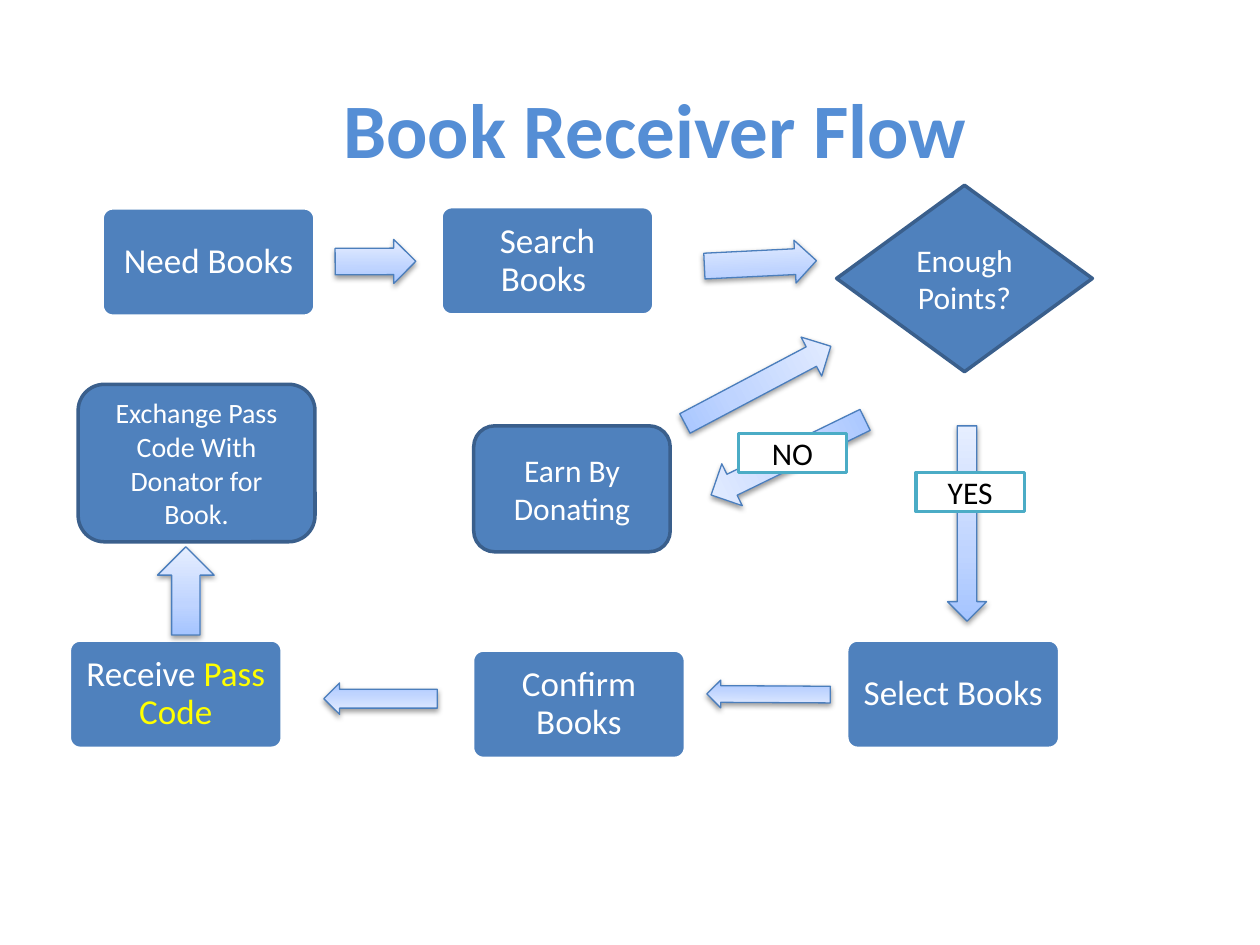
import pptx
import pptx.dml.color
import pptx.enum.shapes
import pptx.enum.text
import pptx.oxml
import pptx.oxml.ns
import pptx.util

Inches = pptx.util.Inches
Pt = pptx.util.Pt
RGBColor = pptx.dml.color.RGBColor
Shape = pptx.enum.shapes.MSO_SHAPE
Align = pptx.enum.text.PP_ALIGN
Anchor = pptx.enum.text.MSO_ANCHOR

BLUE = RGBColor(0x4F, 0x81, 0xBD)
DARK_BLUE = RGBColor(0x3A, 0x5F, 0x8C)
ARROW_LINE = RGBColor(0x4B, 0x7E, 0xBC)
TITLE_BLUE = RGBColor(0x55, 0x8E, 0xD5)
TEAL = RGBColor(0x4B, 0xAC, 0xC6)
YELLOW = RGBColor(0xFF, 0xFF, 0x00)
WHITE = RGBColor(0xFF, 0xFF, 0xFF)
BLACK = RGBColor(0x00, 0x00, 0x00)
ARROW_STOPS = (
    (0, RGBColor(0xA4, 0xC4, 0xFF)),
    (35, RGBColor(0xBF, 0xD4, 0xFF)),
    (100, RGBColor(0xE6, 0xEE, 0xFF)),
)
FONT = "Calibri"
NAMESPACE = pptx.oxml.ns.nsdecls("a")

STEPS = (
    (0.81, 1.65, ("Need Books",)),
    (3.5, 1.64, ("Search Books ",)),
    (6.72, 5.08, ("Select Books",)),
    (3.75, 5.16, ("Confirm Books",)),
    (0.55, 5.08, ("Receive ", "Pass Code")),
)
STEP_ARROWS = (
    (2.66, 1.9, 0.64, 0.35, -0.2),
    (5.59, 1.92, 0.89, 0.34, -2.8),
    (5.61, 5.4, 0.98, 0.22, 180.3),
    (2.57, 5.42, 0.9, 0.25, 180),
)


def format_span(span, size, color, bold=False):
    span.font.name = FONT
    span.font.size = Pt(size)
    span.font.bold = bold
    span.font.color.rgb = color


def add_title(page, text):
    title = page.shapes.title
    title.left, title.top = Inches(0.7), Inches(0.39)
    title.width, title.height = Inches(9), Inches(1.25)
    title.text_frame.text = text
    title.text_frame.vertical_anchor = Anchor.MIDDLE
    para = title.text_frame.paragraphs[0]
    para.alignment = Align.CENTER
    format_span(para.runs[0], 44, TITLE_BLUE, True)


def add_outlined(page, kind, place, line_color, line_width):
    shape = page.shapes.add_shape(kind, *map(Inches, place))
    shape.shadow.inherit = False
    shape.line.color.rgb = line_color
    shape.line.width = Pt(line_width)
    return shape


def add_box(page, kind, place, texts, line_color=DARK_BLUE, fill=BLUE,
            colors=(WHITE,), size=18, margin=0.05):
    box = add_outlined(page, kind, place, line_color, 2)
    box.fill.solid()
    box.fill.fore_color.rgb = fill
    frame = box.text_frame
    frame.word_wrap = True
    frame.vertical_anchor = Anchor.MIDDLE
    frame.margin_top = frame.margin_bottom = Inches(margin)
    para = frame.paragraphs[0]
    para.alignment = Align.CENTER
    for text, color in zip(texts, colors):
        span = para.add_run()
        span.text = text
        format_span(span, size, color)
    return box


def add_step(page, left, top, texts):
    box = add_box(page, Shape.ROUNDED_RECTANGLE, (left, top, 1.69, 0.86), texts,
                  WHITE, colors=(WHITE, YELLOW), size=20, margin=0.08)
    box.adjustments[0] = 0.1
    frame = box.text_frame
    frame.margin_left = frame.margin_right = Inches(0.08)
    frame.paragraphs[0].line_spacing = 0.9


def add_arrow(page, kind, place, rotation=0, shaft=0.5):
    arrow = add_outlined(page, kind, place, ARROW_LINE, 0.75)
    arrow.rotation = rotation
    arrow.adjustments[0] = shaft
    arrow.fill.gradient()
    arrow.fill.gradient_angle = 90
    properties = arrow._element.spPr
    stops = properties.find(".//" + pptx.oxml.ns.qn("a:gsLst"))
    for stop in list(stops):
        stops.remove(stop)
    for position, color in ARROW_STOPS:
        stops.append(pptx.oxml.parse_xml(
            f'<a:gs {NAMESPACE} pos="{position * 1000}">'
            f'<a:srgbClr val="{color}"/></a:gs>'))
    effects = properties.find(pptx.oxml.ns.qn("a:effectLst"))
    effects.append(pptx.oxml.parse_xml(
        f'<a:outerShdw {NAMESPACE} blurRad="{Pt(3.1)}" dist="{Pt(1.6)}" '
        'dir="5400000" rotWithShape="0"><a:srgbClr val="000000">'
        '<a:alpha val="38000"/></a:srgbClr></a:outerShdw>'))


def add_label(page, left, top, text):
    add_box(page, Shape.RECTANGLE, (left, top, 0.86, 0.31), (text,),
            TEAL, WHITE, (BLACK,))


def main():
    deck = pptx.Presentation()
    deck.slide_width, deck.slide_height = Inches(10), Inches(7.5)
    page = deck.slides.add_slide(deck.slide_layouts[5])
    add_title(page, "Book Receiver Flow")
    for left, top, texts in STEPS:
        add_step(page, left, top, texts)
    for *place, rotation in STEP_ARROWS:
        add_arrow(page, Shape.RIGHT_ARROW, place, rotation, 0.6)
    add_box(page, Shape.DIAMOND, (6.64, 1.47, 2.03, 1.48), ("Enough Points?",))
    add_arrow(page, Shape.DOWN_ARROW, (7.52, 3.38, 0.31, 1.55))
    add_arrow(page, Shape.UP_ARROW, (6.07, 2.95, 0.37, 1.36), 244)
    add_box(page, Shape.ROUNDED_RECTANGLE, (3.76, 3.38, 1.56, 1),
            ("Earn By Donating",))
    add_arrow(page, Shape.UP_ARROW, (5.84, 2.4, 0.35, 1.31), 62.1)
    add_label(page, 7.27, 3.75, "YES")
    add_label(page, 5.86, 3.44, "NO")
    add_box(page, Shape.ROUNDED_RECTANGLE, (0.62, 3.05, 1.88, 1.25),
            ("Exchange Pass Code With Donator for Book.",), size=16, margin=0)
    add_arrow(page, Shape.UP_ARROW, (1.25, 4.34, 0.45, 0.7))
    deck.save("out.pptx")


main()
